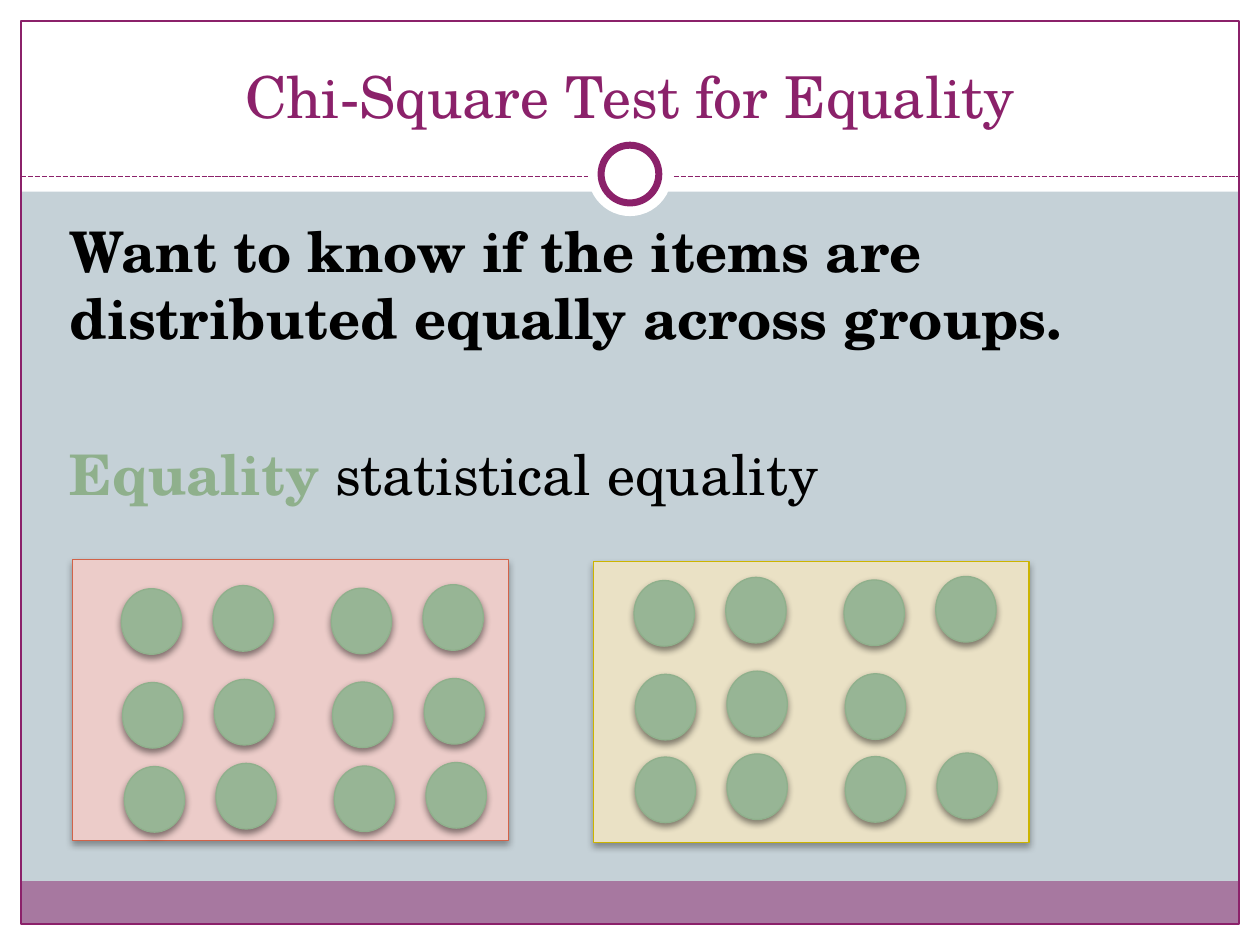
import lxml.etree
import pptx
import pptx.dml.color
import pptx.enum.dml
import pptx.enum.shapes
import pptx.enum.text
import pptx.oxml
import pptx.oxml.ns
import pptx.util

Pt = pptx.util.Pt
RGBColor = pptx.dml.color.RGBColor
SHAPE = pptx.enum.shapes.MSO_SHAPE
ALIGN = pptx.enum.text.PP_ALIGN
ANCHOR = pptx.enum.text.MSO_ANCHOR

FONT = "TeX Gyre Schola"
WHITE = RGBColor(0xFF, 0xFF, 0xFF)
BLACK = RGBColor(0x00, 0x00, 0x00)
BACKGROUND = RGBColor(0xC5, 0xD1, 0xD7)
PLUM = RGBColor(0x8B, 0x21, 0x6A)
GREEN = RGBColor(0x8F, 0xB0, 0x8C)
DOT_FILL = RGBColor(0x97, 0xB5, 0x95)
PINK = RGBColor(0xEC, 0xCC, 0xC9)
RED = RGBColor(0xD1, 0x63, 0x49)
CREAM = RGBColor(0xEA, 0xE1, 0xC5)
GOLD = RGBColor(0xCC, 0xB4, 0x00)

PAGE_WIDTH, PAGE_HEIGHT = 720, 540
MARGIN = 12
HEADER_HEIGHT = 109.5
RULE_TOP = 100.8
FOOTER_TOP, FOOTER_HEIGHT = 503.5, 24.5
RING_CENTER = (360, 99.5)
PANEL_SIZE = (249, 160.5)
DOT_SIZE = (34.5, 37.5)
# Column offsets from the first dot of a row; each row tilts slightly
DOT_COLUMNS = [(0, 0), (52.4, -1.8), (120, -0.3), (172.4, -2.3)]
# Left and top of the first dot, and the number of dots in the row
LEFT_ROWS = [(69.3, 336.4, 4), (70, 390, 4), (71, 438, 4)]
RIGHT_ROWS = [(362.3, 331.7, 4), (363, 385.3, 3), (363, 432.6, 4)]


def add_effects(shape, shadow=None):
    """Set an outer shadow of the given opacity in percent, or none."""
    effects = lxml.etree.SubElement(
        shape._element.spPr, pptx.oxml.ns.qn("a:effectLst"))
    if shadow:
        effects.append(pptx.oxml.parse_xml(
            f'<a:outerShdw {pptx.oxml.ns.nsdecls("a")} blurRad="{Pt(4)}" '
            f'dist="{Pt(2)}" dir="5400000" rotWithShape="0">'
            f'<a:srgbClr val="{BLACK}"><a:alpha val="{shadow * 1000}"/>'
            '</a:srgbClr></a:outerShdw>'))


def add_figure(page, kind, left, top, width, height, fill=None, line=None,
               weight=0.75, opacity=None, shadow=None):
    shape = page.shapes.add_shape(
        kind, Pt(left), Pt(top), Pt(width), Pt(height))
    if fill is None:
        shape.fill.background()
    else:
        shape.fill.solid()
        shape.fill.fore_color.rgb = fill
    if opacity:
        color = shape._element.spPr.find(".//" + pptx.oxml.ns.qn("a:srgbClr"))
        alpha = lxml.etree.SubElement(color, pptx.oxml.ns.qn("a:alpha"))
        alpha.set("val", str(opacity * 1000))
    if line is None:
        shape.line.fill.background()
    else:
        shape.line.color.rgb = line
        shape.line.width = Pt(weight)
    add_effects(shape, shadow)


def add_rule(page, left, right, top):
    rule = page.shapes.add_connector(
        pptx.enum.shapes.MSO_CONNECTOR.STRAIGHT,
        Pt(left), Pt(top), Pt(right), Pt(top))
    rule.line.color.rgb = PLUM
    rule.line.width = Pt(1)
    rule.line.dash_style = pptx.enum.dml.MSO_LINE.SQUARE_DOT
    add_effects(rule)


def add_disc(page, diameter, **style):
    """Add a circle centred on the divider ring."""
    x, y = RING_CENTER
    add_figure(page, SHAPE.OVAL, x - diameter / 2, y - diameter / 2,
               diameter, diameter, fill=WHITE, **style)


def add_box(page, left, top, width, height, anchor=ANCHOR.TOP):
    box = page.shapes.add_textbox(Pt(left), Pt(top), Pt(width), Pt(height))
    box.text_frame.word_wrap = True
    box.text_frame.vertical_anchor = anchor
    return box.text_frame


def add_span(para, text, size=32, color=BLACK, bold=False):
    span = para.add_run()
    span.text = text
    span.font.name = FONT
    span.font.size = Pt(size)
    span.font.color.rgb = color
    span.font.bold = bold


def add_backdrop(page):
    page.background.fill.solid()
    page.background.fill.fore_color.rgb = BACKGROUND
    inner_width = PAGE_WIDTH - 2 * MARGIN
    inner_height = PAGE_HEIGHT - 2 * MARGIN
    for bounds in [(0, PAGE_HEIGHT - MARGIN, PAGE_WIDTH, MARGIN),
                   (0, 0, PAGE_WIDTH, HEADER_HEIGHT),
                   (0, 0, MARGIN, PAGE_HEIGHT),
                   (PAGE_WIDTH - MARGIN, 0, MARGIN, PAGE_HEIGHT)]:
        add_figure(page, SHAPE.RECTANGLE, *bounds, fill=WHITE)
    add_figure(page, SHAPE.RECTANGLE, MARGIN, FOOTER_TOP, inner_width,
               FOOTER_HEIGHT, fill=PLUM, opacity=50)
    add_figure(page, SHAPE.RECTANGLE, MARGIN, MARGIN, inner_width,
               inner_height, line=PLUM, weight=1)
    add_rule(page, MARGIN, PAGE_WIDTH - MARGIN, RULE_TOP)
    add_disc(page, 48)
    add_disc(page, 33, line=PLUM, weight=4)


def add_texts(page):
    title = add_box(page, 24, 18, 672, 60, anchor=ANCHOR.BOTTOM).paragraphs[0]
    title.alignment = ALIGN.CENTER
    add_span(title, "Chi-Square Test for Equality", size=33, color=PLUM)

    body = add_box(page, 24, 120, 670, 360)
    body.margin_left = Pt(16)
    add_span(body.paragraphs[0],
             "Want to know if the items are distributed equally across groups.",
             bold=True)
    para = body.add_paragraph()
    para.space_before = Pt(51)
    add_span(para, "Equality", color=GREEN, bold=True)
    add_span(para, " statistical equality")


def add_dots(page, rows):
    for left, top, count in rows:
        for dx, dy in DOT_COLUMNS[:count]:
            add_figure(page, SHAPE.OVAL, left + dx, top + dy, *DOT_SIZE,
                       fill=DOT_FILL, line=GREEN, shadow=45)
    # The last row of a group is always complete


def add_group(page, left, top, rows, fill, line):
    """Add a panel and the dots that belong to it."""
    add_figure(page, SHAPE.RECTANGLE, left, top, *PANEL_SIZE,
               fill=fill, line=line, shadow=35)
    add_dots(page, rows)


def main():
    deck = pptx.Presentation()
    deck.slide_width, deck.slide_height = Pt(PAGE_WIDTH), Pt(PAGE_HEIGHT)
    page = deck.slides.add_slide(deck.slide_layouts[6])
    add_backdrop(page)
    add_texts(page)
    add_group(page, 41.5, 319.7, LEFT_ROWS, PINK, RED)
    add_group(page, 339, 321, RIGHT_ROWS, CREAM, GOLD)
    deck.save("out.pptx")


if __name__ == "__main__":
    main()
